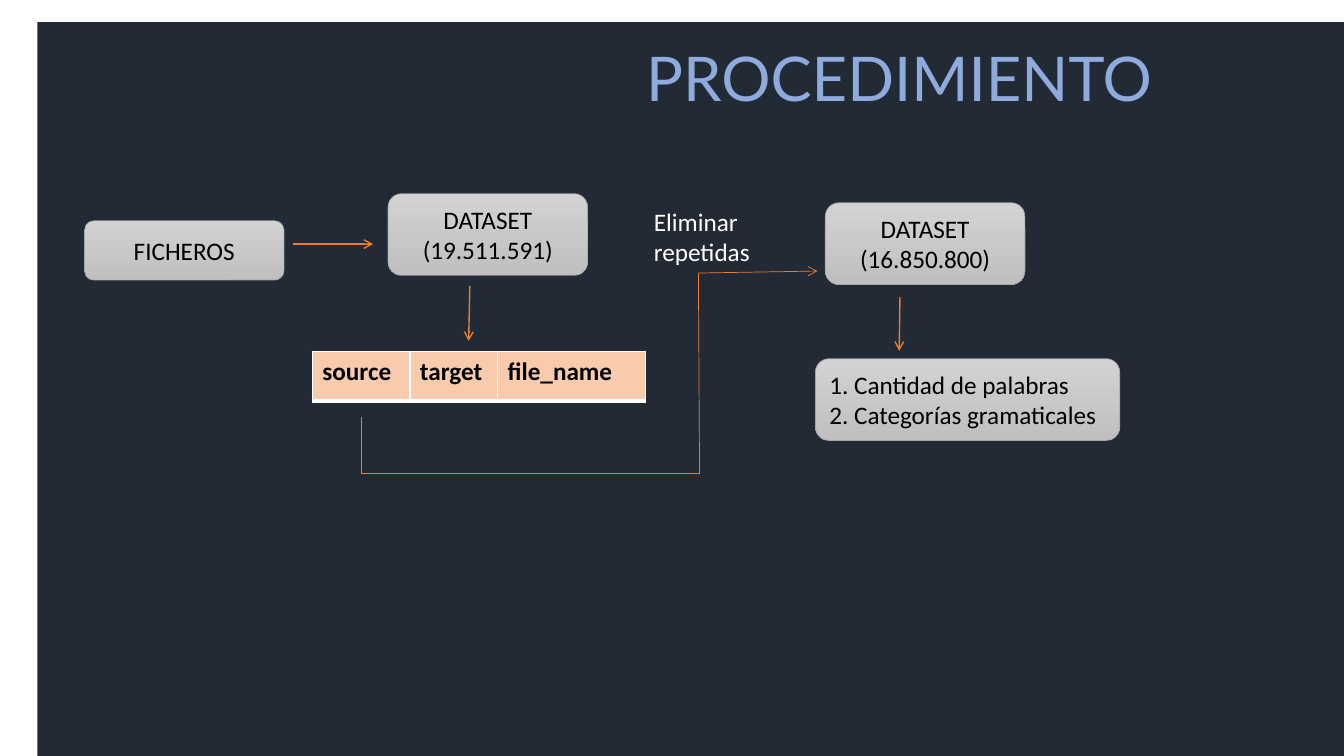
from dataclasses import dataclass
from itertools import pairwise

from lxml import etree
from pptx import Presentation
from pptx import util as u
from pptx.dml.color import RGBColor
from pptx.enum import shapes, text
from pptx.oxml import ns

NAVY = RGBColor(0x22, 0x2A, 0x35)
PERIWINKLE = RGBColor(0x8F, 0xAA, 0xDC)
ORANGE = RGBColor(0xED, 0x7D, 0x31)
PEACH = RGBColor(0xF8, 0xCB, 0xAD)
LIGHT_GRAY = RGBColor(0xD2, 0xD2, 0xD2)
MID_GRAY = RGBColor(0xC0, 0xC0, 0xC0)
OUTLINE_GRAY = RGBColor(0xA5, 0xA5, 0xA5)
BLACK = RGBColor(0, 0, 0)
WHITE = RGBColor(0xFF, 0xFF, 0xFF)

SLIDE_WIDTH, SLIDE_HEIGHT = 33.87, 19.05
PANEL_LEFT, PANEL_TOP = 0.94, 0.56

Point = tuple[float, float]
CENTER = text.PP_ALIGN.CENTER
LEFT = text.PP_ALIGN.LEFT


@dataclass(frozen=True)
class Step:
    lines: tuple[str, ...]
    left: float
    top: float
    width: float = 5.03
    height: float = 2.06
    align: text.PP_ALIGN = CENTER


@dataclass(frozen=True)
class Link:
    """A chain of straight lines that ends in an arrowhead."""
    points: tuple[Point, ...]
    weight: float = 1


@dataclass(frozen=True)
class Column:
    name: str
    width: float


STEPS = (
    Step(("FICHEROS",), 2.13, 5.56, height=1.5),
    Step(("DATASET", "(19.511.591)"), 9.78, 4.88),
    Step(("DATASET", "(16.850.800)"), 20.8, 5.11),
    Step(("1. Cantidad de palabras", "2. Categorías gramaticales"),
         20.55, 9.04, width=7.67, align=LEFT),
)

LINKS = (
    Link(((7.39, 6.15), (9.4, 6.15))),
    Link(((11.84, 7.21), (11.81, 8.59))),
    Link(((22.68, 7.49), (22.66, 8.84))),
    Link(((9.1, 10.52), (9.1, 11.94), (17.63, 11.94), (17.6, 6.88), (20.6, 6.83)),
         weight=0.5),
)

COLUMNS = (Column("source", 2.46), Column("target", 2.21), Column("file_name", 3.73))


def write(frame, *lines: str, size: float = 18, font: str = "Calibri",
          color: RGBColor = BLACK, bold: bool = False,
          align: text.PP_ALIGN = LEFT) -> None:
    frame.word_wrap = True
    for index, line in enumerate(lines):
        paragraph = frame.add_paragraph() if index else frame.paragraphs[0]
        paragraph.alignment = align
        run = paragraph.add_run()
        run.text = line
        run.font.size = u.Pt(size)
        run.font.name = font
        run.font.bold = bold
        run.font.color.rgb = color


def add_panel(slide) -> None:
    panel = slide.shapes.add_shape(
        shapes.MSO_SHAPE.RECTANGLE, u.Cm(PANEL_LEFT), u.Cm(PANEL_TOP),
        u.Cm(SLIDE_WIDTH - PANEL_LEFT), u.Cm(SLIDE_HEIGHT - PANEL_TOP))
    panel.shadow.inherit = False
    panel.fill.solid()
    panel.fill.fore_color.rgb = NAVY
    panel.line.fill.background()


def add_label(slide, label: str, left: float, top: float, width: float,
              height: float, **text_format) -> None:
    box = slide.shapes.add_textbox(u.Cm(left), u.Cm(top), u.Cm(width), u.Cm(height))
    write(box.text_frame, label, **text_format)


def add_step(slide, step: Step) -> None:
    shape = slide.shapes.add_shape(
        shapes.MSO_SHAPE.ROUNDED_RECTANGLE, u.Cm(step.left), u.Cm(step.top),
        u.Cm(step.width), u.Cm(step.height))
    shape.shadow.inherit = False
    shape.fill.gradient()
    shape.fill.gradient_angle = 270
    for stop, color in zip(shape.fill.gradient_stops, (LIGHT_GRAY, MID_GRAY)):
        stop.color.rgb = color
    shape.line.color.rgb = OUTLINE_GRAY
    shape.line.width = u.Pt(0.5)
    shape.text_frame.vertical_anchor = text.MSO_ANCHOR.MIDDLE
    write(shape.text_frame, *step.lines, align=step.align)


def add_link(slide, link: Link) -> None:
    for start, end in pairwise(link.points):
        connector = slide.shapes.add_connector(
            shapes.MSO_CONNECTOR.STRAIGHT, *map(u.Cm, start + end))
        connector.line.color.rgb = ORANGE
        connector.line.width = u.Pt(link.weight)
        if end == link.points[-1]:
            etree.SubElement(connector.line._get_or_add_ln(), ns.qn("a:tailEnd"),
                             type="arrow")
        etree.SubElement(connector._element.spPr, ns.qn("a:effectLst"))


def add_borders(cell) -> None:
    properties = cell._tc.get_or_add_tcPr()
    for side, weight in (("L", 1), ("R", 1), ("T", 1), ("B", 3)):
        border = etree.SubElement(properties, ns.qn(f"a:ln{side}"), w=str(u.Pt(weight)))
        fill = etree.SubElement(border, ns.qn("a:solidFill"))
        etree.SubElement(fill, ns.qn("a:srgbClr"), val=str(WHITE))


def add_header_table(slide, left: float, top: float, height: float) -> None:
    width = sum(column.width for column in COLUMNS)
    table = slide.shapes.add_table(1, len(COLUMNS), u.Cm(left), u.Cm(top),
                                   u.Cm(width), u.Cm(height)).table
    table.first_row = table.horz_banding = False
    for index, column in enumerate(COLUMNS):
        table.columns[index].width = u.Cm(column.width)
        cell = table.cell(0, index)
        add_borders(cell)
        cell.fill.solid()
        cell.fill.fore_color.rgb = PEACH
        write(cell.text_frame, column.name, bold=True)


def main() -> None:
    presentation = Presentation()
    presentation.slide_width = u.Cm(SLIDE_WIDTH)
    presentation.slide_height = u.Cm(SLIDE_HEIGHT)
    slide = presentation.slides.add_slide(presentation.slide_layouts[6])

    add_panel(slide)
    add_label(slide, "PROCEDIMIENTO", 14.22, 0.89, 16.89, 2.13,
              size=44, font="Lato", color=PERIWINKLE, align=CENTER)
    for step in STEPS:
        add_step(slide, step)
    add_header_table(slide, 7.87, 8.86, 1.24)
    add_label(slide, "Eliminar repetidas", 16.23, 5.08, 3.28, 1.8, color=WHITE)
    for link in LINKS:
        add_link(slide, link)

    presentation.save("out.pptx")


if __name__ == "__main__":
    main()
